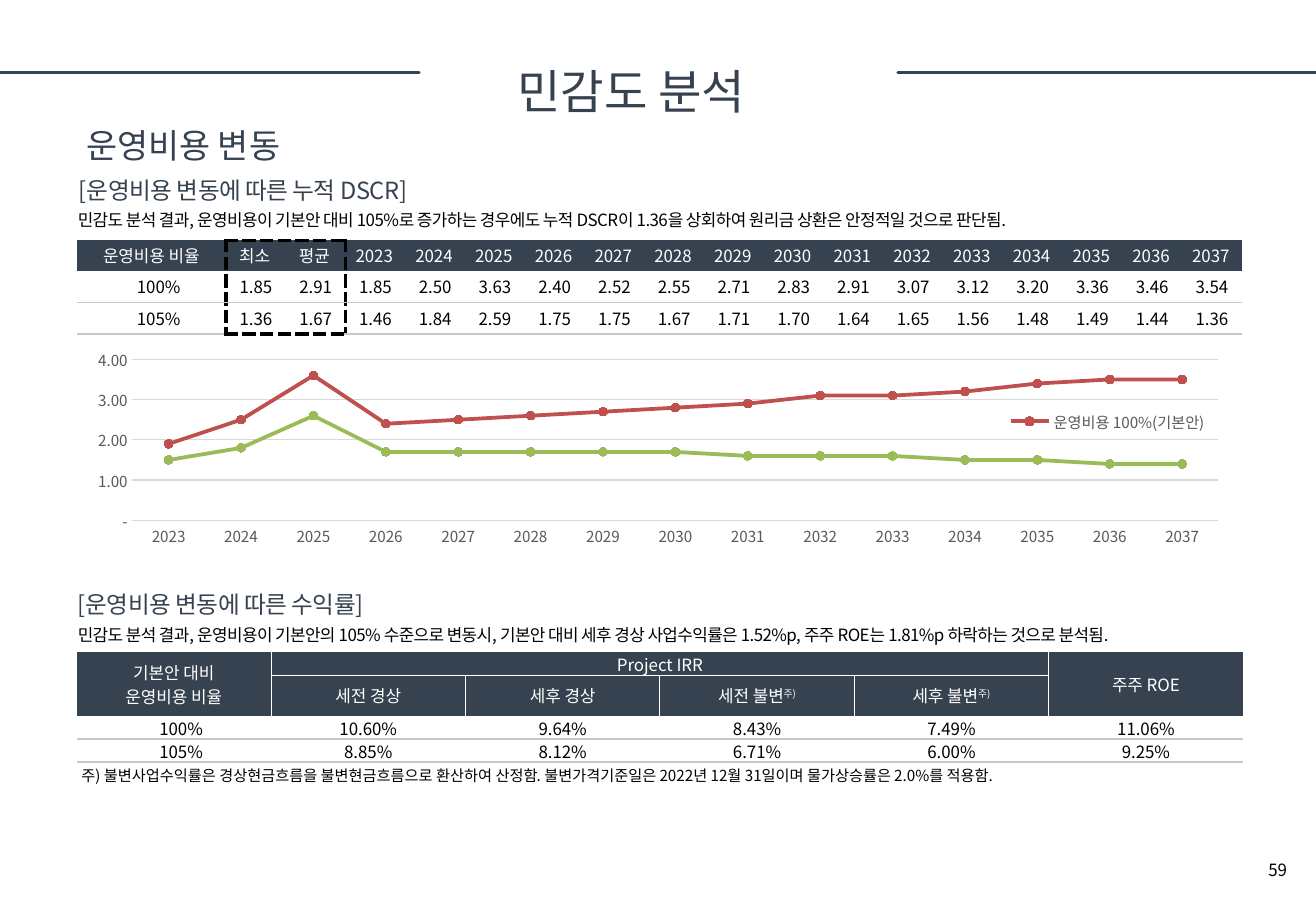
from lxml import etree
from pptx import Presentation
from pptx.chart.data import CategoryChartData
from pptx.dml.color import RGBColor
from pptx.enum.chart import XL_CHART_TYPE, XL_LEGEND_POSITION, XL_MARKER_STYLE, XL_TICK_MARK
from pptx.enum.shapes import MSO_CONNECTOR
from pptx.enum.text import MSO_ANCHOR, MSO_AUTO_SIZE, PP_ALIGN
from pptx.oxml import parse_xml
from pptx.oxml.ns import nsdecls, qn
from pptx.util import Inches, Pt

LINE_MARKERS = XL_CHART_TYPE.LINE_MARKERS
LEGEND_BOTTOM = XL_LEGEND_POSITION.BOTTOM
CIRCLE = XL_MARKER_STYLE.CIRCLE
NO_TICK = XL_TICK_MARK.NONE
STRAIGHT = MSO_CONNECTOR.STRAIGHT
TOP, MIDDLE = MSO_ANCHOR.TOP, MSO_ANCHOR.MIDDLE
GROW = MSO_AUTO_SIZE.SHAPE_TO_FIT_TEXT
LEFT, CENTER, RIGHT, JUSTIFY = PP_ALIGN.LEFT, PP_ALIGN.CENTER, PP_ALIGN.RIGHT, PP_ALIGN.JUSTIFY

FONT = "Noto Sans CJK KR"
NAVY, BLACK, WHITE = "364250", "000000", "FFFFFF"
SILVER, GRAY, GRID = "C8C8CA", "595959", "D9D9D9"
NO_TABLE_STYLE = "{2D5ABB26-0587-4C30-8999-92F81FD0307C}"
DASHED = (BLACK, 2.25, "sysDash")
RULE = (SILVER, 1, "solid")
DIVIDER = (WHITE, 0.5, "solid")

YEARS = [str(year) for year in range(2023, 2038)]
DSCR_BASE = ["1.85", "2.50", "3.63", "2.40", "2.52", "2.55", "2.71", "2.83",
             "2.91", "3.07", "3.12", "3.20", "3.36", "3.46", "3.54"]
DSCR_105 = ["1.46", "1.84", "2.59", "1.75", "1.75", "1.67", "1.71", "1.70",
            "1.64", "1.65", "1.56", "1.48", "1.49", "1.44", "1.36"]
CHART_BASE = [1.9, 2.5, 3.6, 2.4, 2.5, 2.6, 2.7, 2.8, 2.9, 3.1, 3.1, 3.2, 3.4, 3.5, 3.5]
CHART_105 = [1.5, 1.8, 2.6, 1.7, 1.7, 1.7, 1.7, 1.7, 1.6, 1.6, 1.6, 1.5, 1.5, 1.4, 1.4]


def color(value):
    return RGBColor.from_string(value)


def write(frame, text, size=10, fill=BLACK, align=LEFT, line=None, after=None, tracking=None, sup=""):
    for index, content in enumerate(text.split("\n")):
        para = frame.paragraphs[0] if index == 0 else frame.add_paragraph()
        para.alignment = align
        if line:
            para.line_spacing = line
        if after:
            para.space_after = Pt(after)
        for part, raised in ((content, False), (sup, True)):
            if not part:
                continue
            span = para.add_run()
            span.text = part
            style_font(span.font, size, fill)
            properties = span.font._element
            properties.set("kern", "0")
            etree.SubElement(properties, qn("a:ea")).set("typeface", FONT)
            if tracking:
                properties.set("spc", str(round(tracking * 100)))
            if raised:
                properties.set("baseline", "30000")


def style_font(font, size, fill):
    font.name = FONT
    font.size = Pt(size)
    font.color.rgb = color(fill)


def manual_layout(x, y, width, height, inner=False):
    target = '<c:layoutTarget val="inner"/>' if inner else ""
    return parse_xml(
        f'<c:layout {nsdecls("c")}><c:manualLayout>{target}<c:xMode val="edge"/><c:yMode val="edge"/>'
        f'<c:x val="{x}"/><c:y val="{y}"/><c:w val="{width}"/><c:h val="{height}"/>'
        "</c:manualLayout></c:layout>")


def place(parent, layout, index):
    for old in parent.findall(qn("c:layout")):
        parent.remove(old)
    parent.insert(index, layout)


class SlideBuilder:
    def __init__(self, page):
        self.page = page

    def rule(self, start, end, y):
        line = self.page.shapes.add_connector(STRAIGHT, Inches(start), Inches(y), Inches(end), Inches(y))
        line.line.color.rgb = color(NAVY)
        line.line.width = Pt(1.75)
        line._element.spPr.find(qn("a:ln")).set("cap", "rnd")
        etree.SubElement(line._element.spPr, qn("a:effectLst"))

    def text(self, area, text, inset=True, grow=False, anchor=TOP, **style):
        box = self.page.shapes.add_textbox(*map(Inches, area))
        frame = box.text_frame
        frame.word_wrap = True
        frame.vertical_anchor = anchor
        if grow:
            frame.auto_size = GROW
        if not inset:
            frame.margin_left = frame.margin_right = frame.margin_top = frame.margin_bottom = 0
        write(frame, text, **style)

    def table(self, area, widths, heights):
        frame = self.page.shapes.add_table(len(heights), len(widths), *map(Inches, area))
        table = frame.table
        table.first_row = table.horz_banding = False
        table._tbl.tblPr.find(qn("a:tableStyleId")).text = NO_TABLE_STYLE
        for column, width in zip(table.columns, widths):
            column.width = Inches(width)
        for row, height in zip(table.rows, heights):
            row.height = Inches(height)
        return table

    def cell(self, cell, text, borders, header=False, margins=(0, 0, 0, 0), sup=""):
        cell.margin_left, cell.margin_top, cell.margin_right, cell.margin_bottom = map(Inches, margins)
        cell.vertical_anchor = MIDDLE
        write(cell.text_frame, text, fill=WHITE if header else BLACK, align=CENTER, sup=sup)
        properties = cell._tc.get_or_add_tcPr()
        for side in "LRTB":
            if side in borders:
                shade, width, dash = borders[side]
                properties.append(parse_xml(
                    f'<a:ln{side} {nsdecls("a")} w="{Pt(width)}"><a:solidFill><a:srgbClr val="{shade}"/>'
                    f'</a:solidFill><a:prstDash val="{dash}"/></a:ln{side}>'))
            else:
                properties.append(parse_xml(f'<a:ln{side} {nsdecls("a")}><a:noFill/></a:ln{side}>'))
        if header:
            cell.fill.solid()
            cell.fill.fore_color.rgb = color(NAVY)
        else:
            cell.fill.background()

    def line_chart(self, area, categories, series):
        data = CategoryChartData(number_format="0.00")
        data.categories = categories
        for name, values, _ in series:
            data.add_series(name, values)
        chart = self.page.shapes.add_chart(LINE_MARKERS, *map(Inches, area), data).chart
        style_font(chart.font, 10, BLACK)
        chart.has_title = False
        for line, (_, _, shade) in zip(chart.plots[0].series, series):
            line.smooth = False
            line.format.line.color.rgb = color(shade)
            line.format.line.width = Pt(2.25)
            line.marker.style = CIRCLE
            line.marker.size = 5
            line.marker.format.fill.solid()
            line.marker.format.fill.fore_color.rgb = color(shade)
            line.marker.format.line.color.rgb = color(shade)
        chart.plots[0].vary_by_categories = False
        years, ratio = chart.category_axis, chart.value_axis
        for axis in (years, ratio):
            axis.major_tick_mark = axis.minor_tick_mark = NO_TICK
            style_font(axis.tick_labels.font, 9, GRAY)
        ratio.minimum_scale, ratio.maximum_scale, ratio.major_unit = 0, 4, 1
        ratio.tick_labels.number_format = '#,##0.00;[Red]\\(#,##0.00\\);"-"'
        ratio.tick_labels.number_format_is_linked = False
        ratio.format.line.fill.background()
        for line in (years.format.line, ratio.major_gridlines.format.line):
            line.color.rgb = color(GRID)
            line.width = Pt(0.75)
        chart.has_legend = True
        legend = chart.legend
        legend.position = LEGEND_BOTTOM
        legend.include_in_layout = True
        style_font(legend.font, 9, GRAY)
        place(legend._element, manual_layout(0.8, 0.25, 0.17, 0.24), 1)
        legend._element.insert(1, parse_xml(
            f'<c:legendEntry {nsdecls("c")}><c:idx val="1"/><c:delete val="1"/></c:legendEntry>'))
        place(chart._chartSpace.chart.plotArea, manual_layout(0.05, 0.07, 0.93, 0.78, inner=True), 0)


def dscr_table(builder):
    rows = [["운영비용 비율", "최소", "평균"] + YEARS,
            ["100%", "1.85", "2.91"] + DSCR_BASE,
            ["105%", "1.36", "1.67"] + DSCR_105]
    table = builder.table((0.63, 1.98, 9.59, 0.77), [1.23] + [8.36 / 17] * 17, [0.25, 0.26, 0.26])
    for r, row in enumerate(rows):
        for c, text in enumerate(row):
            borders = {"B": RULE} if r else {}
            if r == 2:
                borders["T"] = RULE
            if c in (0, 2):
                borders["R"] = DASHED
            if c in (1, 3):
                borders["L"] = DASHED
            if c in (1, 2) and r != 1:
                borders["B" if r else "T"] = DASHED
            margins = (0.12 if r and c == 0 else 0, 0, 0.02 if r == 0 and c else 0, 0)
            builder.cell(table.cell(r, c), text, borders, r == 0, margins)


def return_table(builder):
    rows = [["기본안 대비\n운영비용 비율", "Project IRR", None, None, None, "주주 ROE"],
            [None, "세전 경상", "세후 경상", "세전 불변", "세후 불변", None],
            ["100%", "10.60%", "9.64%", "8.43%", "7.49%", "11.06%"],
            ["105%", "8.85%", "8.12%", "6.71%", "6.00%", "9.25%"]]
    table = builder.table((0.63, 5.37, 9.59, 0.88), [1.6] * 6, [0.19, 0.31, 0.19, 0.19])
    for first, last in (((0, 0), (1, 0)), ((0, 1), (0, 4)), ((0, 5), (1, 5))):
        table.cell(*first).merge(table.cell(*last))
    for r, row in enumerate(rows):
        for c, text in enumerate(row):
            if text is None:
                continue
            if r < 2:
                sides = ("R" if c < 5 else "") + ("L" if c else "") + ("T" if r else "B" if c else "")
                borders = dict.fromkeys(sides, DIVIDER)
            else:
                borders = dict.fromkeys("B" if r == 2 else "TB", RULE)
            margins = (0.12, 0.05, 0.12, 0.05) if r == 1 else (0.12 if r > 1 and c == 0 else 0, 0, 0, 0)
            sup = "주)" if r == 1 and c in (3, 4) else ""
            builder.cell(table.cell(r, c), text, borders, r < 2, margins, sup)


def main():
    deck = Presentation()
    deck.slide_width, deck.slide_height = Inches(10.83), Inches(7.5)
    builder = SlideBuilder(deck.slides.add_slide(deck.slide_layouts[6]))
    builder.rule(3.45, 0, 0.6)
    builder.rule(7.39, 10.83, 0.6)
    builder.text((8.25, 6.96, 2.44, 0.4), "59", anchor=MIDDLE, align=RIGHT)
    builder.text((4.16, 0, 2.52, 0.93), "민감도 분석", grow=True, size=28, fill=NAVY, align=JUSTIFY, line=2.0)
    builder.text((0.61, 0.98, 4.81, 0.44), "운영비용 변동", grow=True, size=20, fill="364152", align=JUSTIFY)
    builder.table((5.35, 5.85, 0.23, 0.4), [0.23], [0])
    sections = [
        (0.65, 1.4, 1.69, "[운영비용 변동에 따른 누적 DSCR]",
         "민감도 분석 결과, 운영비용이 기본안 대비 105%로 증가하는 경우에도 누적 DSCR이 1.36을 상회하여 원리금 상환은 안정적일 것으로 판단됨."),
        (0.64, 4.81, 5.11, "[운영비용 변동에 따른 수익률]",
         "민감도 분석 결과, 운영비용이 기본안의 105% 수준으로 변동시, 기본안 대비 세후 경상 사업수익률은 1.52%p, 주주 ROE는 1.81%p 하락하는 것으로 분석됨.")]
    for left, heading_top, finding_top, heading, finding in sections:
        builder.text((left, heading_top, 4.27, 0.27), heading, inset=False, grow=True,
                     size=14, fill=NAVY, line=1.2, after=5.3, tracking=-0.3)
        builder.text((0.64, finding_top, 9.58, 0.3), finding, inset=False, line=1.2, tracking=-0.3)
    dscr_table(builder)
    builder.line_chart((0.61, 2.84, 9.61, 1.7), YEARS,
                       [("운영비용 100%(기본안)", CHART_BASE, "C0504D"), ("운영비용 105%", CHART_105, "9BBB59")])
    return_table(builder)
    builder.text((0.67, 6.31, 9.91, 0.15),
                 "주) 불변사업수익률은 경상현금흐름을 불변현금흐름으로 환산하여 산정함. 불변가격기준일은 2022년 12월 31일이며 물가상승률은 2.0%를 적용함.",
                 inset=False, grow=True, size=9, after=6)
    deck.save("out.pptx")


if __name__ == "__main__":
    main()
